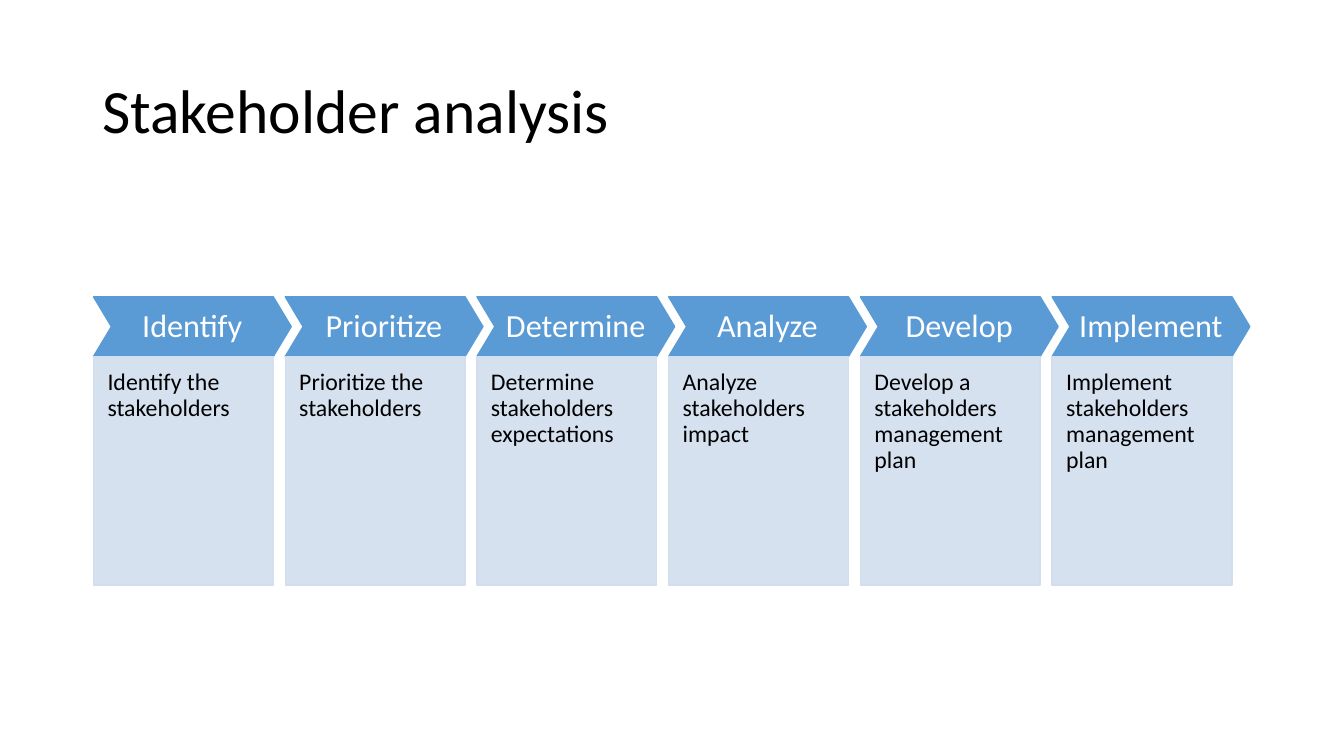
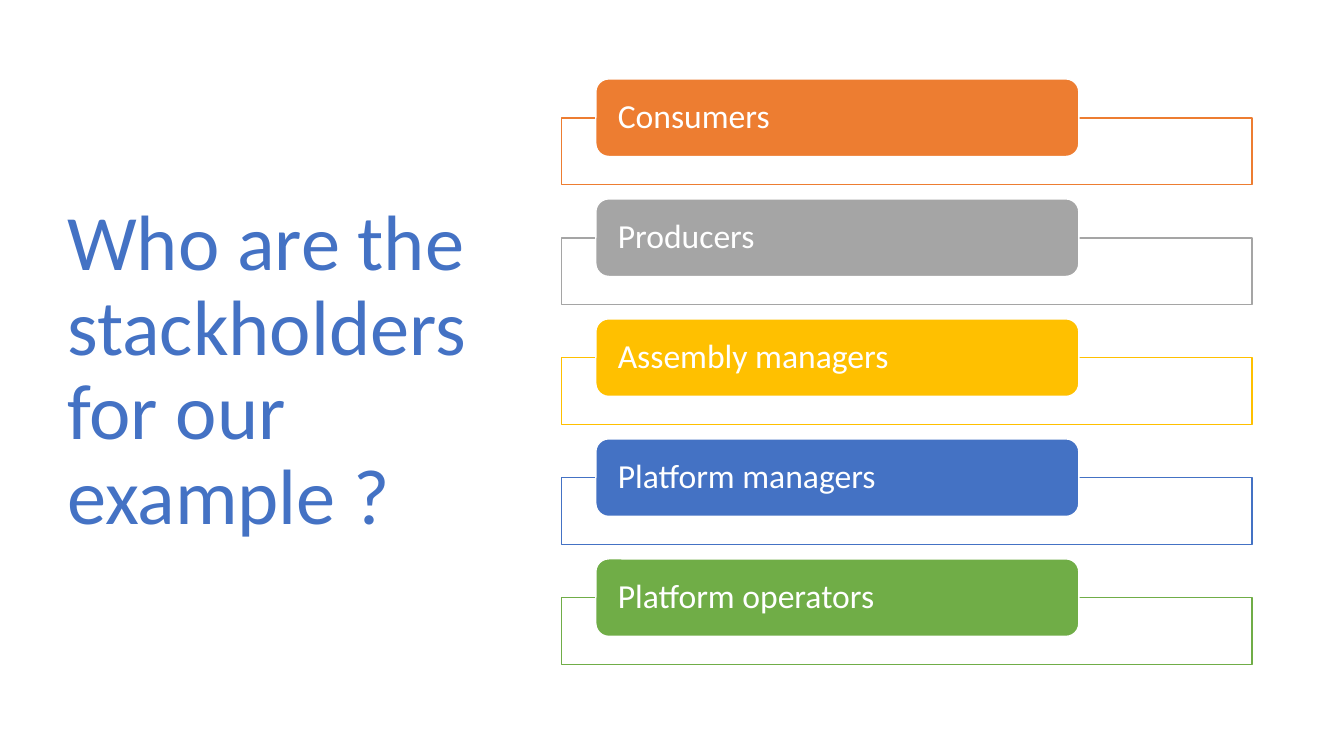
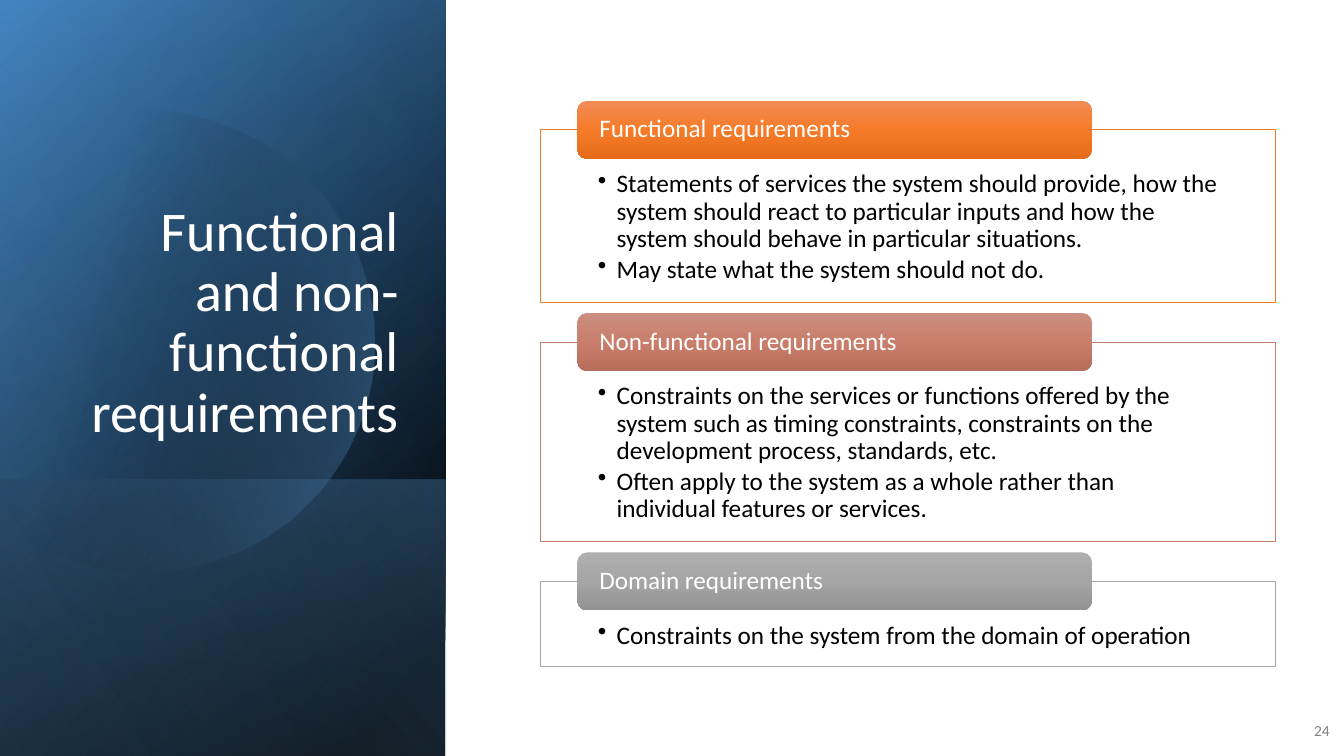
from dataclasses import dataclass
from typing import NamedTuple

from lxml.etree import SubElement
from pptx import Presentation
from pptx.dml.color import RGBColor
from pptx.enum.shapes import MSO_SHAPE
from pptx.enum.text import MSO_ANCHOR, PP_ALIGN
from pptx.oxml.ns import qn
from pptx.util import Pt

FONT = "Calibri"
BLACK = RGBColor(0x00, 0x00, 0x00)
WHITE = RGBColor(0xFF, 0xFF, 0xFF)
GREY = RGBColor(0x80, 0x80, 0x80)
SILVER = RGBColor(0xA5, 0xA5, 0xA5)
SKY = RGBColor(0x5B, 0x9B, 0xD5)
PALE = RGBColor(0xD2, 0xDE, 0xEF)
MIST = RGBColor(0x9D, 0xC3, 0xE6)
DEEP = RGBColor(0x2E, 0x75, 0xB6)
BLUE = RGBColor(0x44, 0x72, 0xC4)
ORANGE = RGBColor(0xED, 0x7D, 0x31)
GOLD = RGBColor(0xFF, 0xC0, 0x00)
GREEN = RGBColor(0x70, 0xAD, 0x47)
ROSE = RGBColor(0xC4, 0x81, 0x70)


class Box(NamedTuple):
    """Left, top, width and height in points."""
    x: float
    y: float
    w: float
    h: float

    def emu(self) -> list:
        return [Pt(v) for v in self]


class Stop(NamedTuple):
    """One gradient stop; place and alpha in percent."""
    place: int
    color: RGBColor
    alpha: int = 100


class Layer(NamedTuple):
    """One gradient sheet of the side panel."""
    top: float
    height: float
    angle: int
    stops: tuple


@dataclass(frozen=True)
class Style:
    size: float
    color: RGBColor
    align: PP_ALIGN = PP_ALIGN.LEFT
    anchor: MSO_ANCHOR = MSO_ANCHOR.MIDDLE
    inset: tuple = (7.2, 3.6, 7.2, 3.6)
    bullet: bool = False


@dataclass(frozen=True)
class Step:
    head: str
    body: str


@dataclass(frozen=True)
class Group:
    """A kind of requirement: its frame and the tab on top."""
    head: str
    height: float
    line: RGBColor
    stops: tuple
    points: tuple


def blend(*colors: str) -> tuple:
    return tuple(Stop(50 * i, RGBColor.from_string(c)) for i, c in enumerate(colors))


STEPS = (
    Step("Identify", "Identify the stakeholders"),
    Step("Prioritize", "Prioritize the stakeholders"),
    Step("Determine", "Determine stakeholders expectations"),
    Step("Analyze", "Analyze stakeholders impact"),
    Step("Develop", "Develop a stakeholders management plan"),
    Step("Implement", "Implement stakeholders management plan"),
)
ROLES = (
    ("Consumers", ORANGE),
    ("Producers", SILVER),
    ("Assembly managers", GOLD),
    ("Platform managers", BLUE),
    ("Platform operators", GREEN),
)
GROUPS = (
    Group("Functional requirements", 123, ORANGE, blend("F18C57", "F67B28", "E56C19"), (
        "Statements of services the system should provide, how the system should react "
        "to particular inputs and how the system should behave in particular situations.",
        "May state what the system should not do.")),
    Group("Non-functional requirements", 142.6, ROSE, blend("CB8F81", "C97E6B", "B76D5B"), (
        "Constraints on the services or functions offered by the system such as timing "
        "constraints, constraints on the development process, standards, etc.",
        "Often apply to the system as a whole rather than individual features or services.")),
    Group("Domain requirements", 60.5, SILVER, blend("AFAFAF", "A5A5A5", "939393"), (
        "Constraints on the system from the domain of operation",)),
)

SIDE = 318.2
BACK = (
    Layer(0, 540, 50, (Stop(8, BLACK), Stop(100, DEEP))),
    Layer(0, 540, 30, (Stop(0, BLACK, 0), Stop(99, SKY, 46))),
    Layer(342.7, 197.3, 130, (Stop(2, SKY, 29), Stop(100, BLACK, 30))),
)
GLAZE = Layer(0, 540, 120, (Stop(0, BLACK, 0), Stop(99, MIST, 11)))
DISC = (Stop(29, BLACK, 0), Stop(100, SKY, 43))
# Each arc: start, two control points, end.
ARCS = (
    ((107, 79), (177, 81), (241, 127), (261, 198)),
    ((261, 198), (287, 286), (236, 377), (149, 402)),
    ((149, 402), (94, 418), (38, 404), (0, 371)),
    ((0, 116), (16, 102), (36, 93), (58, 86)),
    ((58, 86), (74, 81), (91, 79), (107, 79)),
)


def write(shape, lines: tuple, style: Style) -> None:
    frame = shape.text_frame
    frame.word_wrap = True
    frame.vertical_anchor = style.anchor
    (frame.margin_left, frame.margin_top,
     frame.margin_right, frame.margin_bottom) = [Pt(v) for v in style.inset]
    for i, line in enumerate(lines):
        para = frame.add_paragraph() if i else frame.paragraphs[0]
        para.alignment = style.align
        para.line_spacing = 0.9
        if style.bullet:
            para.space_after = Pt(2.7)
            props = para._p.get_or_add_pPr()
            props.set("marL", str(Pt(13.5)))
            props.set("indent", str(-Pt(13.5)))
            SubElement(props, qn("a:buChar")).set("char", "•")
        run = para.add_run()
        run.text = line
        run.font.name = FONT
        run.font.size = Pt(style.size)
        run.font.color.rgb = style.color


def label(slide, box: Box, text: str, style: Style) -> None:
    write(slide.shapes.add_textbox(*box.emu()), (text,), style)


def veil(node, alpha: int) -> None:
    SubElement(node, qn("a:alpha")).set("val", str(alpha * 1000))


def shade(shape, stops: tuple, angle: int) -> None:
    """Fill a shape with a linear gradient and drop its outline."""
    shape.shadow.inherit = False
    shape.line.fill.background()
    shape.fill.gradient()
    grad = shape.element.spPr.find(qn("a:gradFill"))
    for child in list(grad):
        grad.remove(child)
    holder = SubElement(grad, qn("a:gsLst"))
    for stop in stops:
        mark = SubElement(holder, qn("a:gs"))
        mark.set("pos", str(stop.place * 1000))
        tint = SubElement(mark, qn("a:srgbClr"))
        tint.set("val", str(stop.color))
        if stop.alpha < 100:
            veil(tint, stop.alpha)
    line = SubElement(grad, qn("a:lin"))
    line.set("ang", str(angle * 60000))
    line.set("scaled", "0")


def block(slide, kind: MSO_SHAPE, box: Box, fill: RGBColor, line: RGBColor,
          width: float = 1, alpha: int = 100):
    shape = slide.shapes.add_shape(kind, *box.emu())
    shape.shadow.inherit = False
    shape.fill.solid()
    shape.fill.fore_color.rgb = fill
    if alpha < 100:
        veil(shape.element.spPr.find(qn("a:solidFill"))[0], alpha)
    shape.line.color.rgb = line
    shape.line.width = Pt(width)
    return shape


def sheet(slide, layer: Layer) -> None:
    """Lay one sheet over the side panel: a mirrored box on its side."""
    high = layer.height
    box = Box((SIDE - high) / 2, layer.top + (high - SIDE) / 2, high, SIDE)
    shape = slide.shapes.add_shape(MSO_SHAPE.RECTANGLE, *box.emu())
    shape.rotation = 90
    shape.element.spPr.find(qn("a:xfrm")).set("flipH", "1")
    shade(shape, layer.stops, layer.angle)


def trace(arc: tuple, count: int = 24) -> list:
    """Points along a cubic curve."""
    spots = []
    for i in range(count + 1):
        t = i / count
        parts = ((1 - t) ** 3, 3 * t * (1 - t) ** 2, 3 * t * t * (1 - t), t ** 3)
        spots.append(tuple(Pt(sum(k * p[axis] for k, p in zip(parts, arc)))
                           for axis in (0, 1)))
    return spots


def disc(slide) -> None:
    spots = [spot for arc in ARCS for spot in trace(arc)]
    path = slide.shapes.build_freeform(*spots[0], scale=1.0)
    path.add_line_segments(spots[1:], close=True)
    shade(path.convert_to_shape(), DISC, 15)


def flow(slide) -> None:
    label(slide, Box(66, 29, 828, 104), "Stakeholder analysis", Style(44, BLACK))
    head = Style(23, WHITE, PP_ALIGN.CENTER, inset=(5, 5, 5, 5))
    body = Style(17, BLACK, anchor=MSO_ANCHOR.TOP, inset=(10, 10, 10, 20))
    for i, step in enumerate(STEPS):
        x = 66.8 + 136.95 * i
        arrow = block(slide, MSO_SHAPE.CHEVRON, Box(x, 212, 141.2, 42.6), SKY, SKY)
        arrow.adjustments[0] = 0.3
        write(arrow, (step.head,), head)
        card = block(slide, MSO_SHAPE.RECTANGLE, Box(x, 254.6, 128.4, 163.4),
                     PALE, PALE, alpha=90)
        write(card, (step.body,), body)


def roles(slide) -> None:
    label(slide, Box(41, 49, 299.5, 433.4),
          "Who are the stackholders for our example ?", Style(56, BLUE))
    style = Style(24, WHITE, inset=(13, 0, 13, 0))
    for i, (name, color) in enumerate(ROLES):
        y = 84.2 + 85.7 * i
        block(slide, MSO_SHAPE.RECTANGLE, Box(401, y, 493.2, 47.5), WHITE, color, alpha=90)
        tab = block(slide, MSO_SHAPE.ROUNDED_RECTANGLE, Box(425.6, y - 27.8, 345, 55.4),
                    color, WHITE)
        write(tab, (name,), style)


def needs(slide) -> None:
    for layer in BACK:
        sheet(slide, layer)
    disc(slide)
    sheet(slide, GLAZE)
    label(slide, Box(46, 132.5, 245.5, 188.6), "Functional and non-functional requirements",
          Style(40, WHITE, PP_ALIGN.RIGHT, MSO_ANCHOR.BOTTOM))
    label(slide, Box(921.6, 508.3, 35.3, 28.8), "24", Style(11, GREY, PP_ALIGN.RIGHT))
    head = Style(18, WHITE, inset=(13.7, 0, 13.7, 0))
    body = Style(18, BLACK, anchor=MSO_ANCHOR.TOP, inset=(41, 29.5, 41, 10), bullet=True)
    y = 92.7
    for group in GROUPS:
        card = block(slide, MSO_SHAPE.RECTANGLE, Box(386, y, 525, group.height),
                     WHITE, group.line, 0.5, 90)
        write(card, group.points, body)
        tab = slide.shapes.add_shape(MSO_SHAPE.ROUNDED_RECTANGLE,
                                     *Box(412.4, y - 20.7, 367.5, 41.4).emu())
        shade(tab, group.stops, 90)
        write(tab, (group.head,), head)
        y += group.height + 28.5


def main() -> None:
    deck = Presentation()
    deck.slide_width, deck.slide_height = Pt(960), Pt(540)
    for draw in (flow, roles, needs):
        draw(deck.slides.add_slide(deck.slide_layouts[6]))
    deck.save("out.pptx")


if __name__ == "__main__":
    main()
